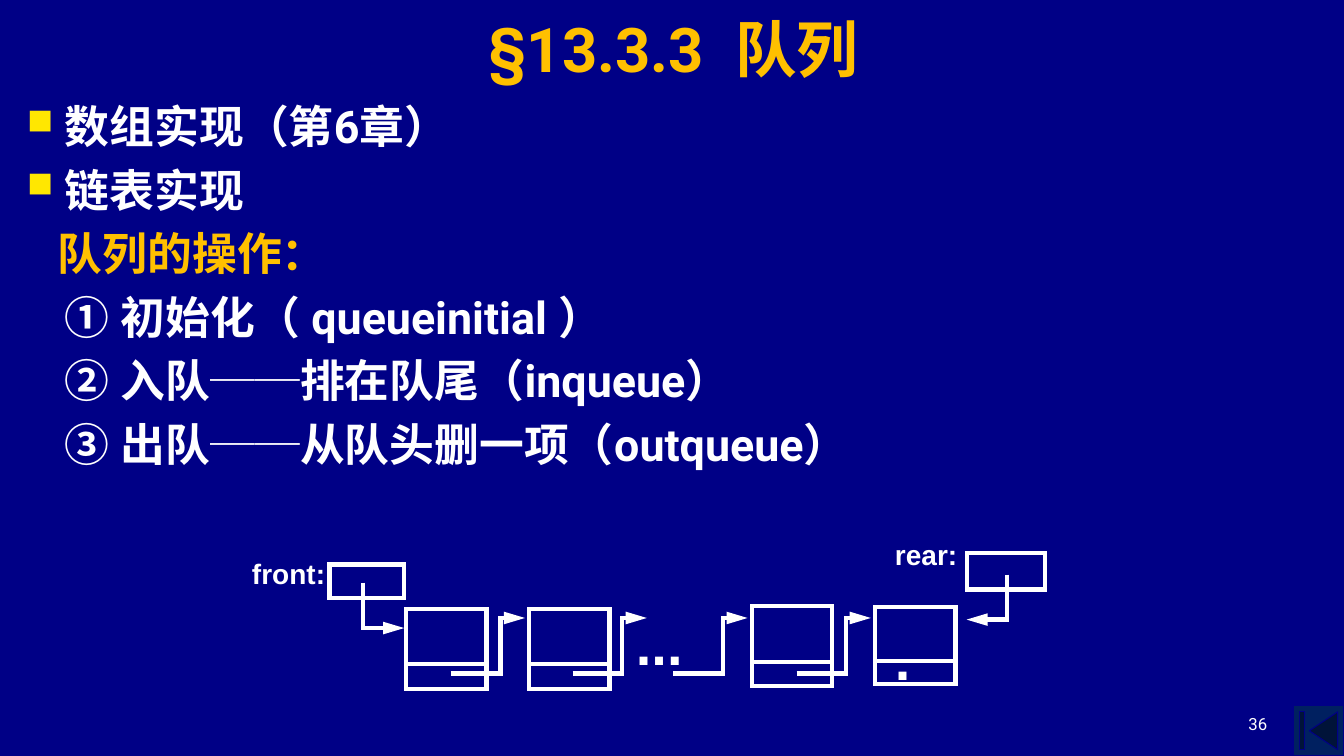
from dataclasses import dataclass
from typing import Optional

import pptx
import pptx.dml.color
import pptx.enum.shapes
import pptx.enum.text
import pptx.oxml.ns
import pptx.util
from lxml import etree

Pt = pptx.util.Pt
RGBColor = pptx.dml.color.RGBColor
Shapes = pptx.enum.shapes.MSO_SHAPE
Anchor = pptx.enum.text.MSO_ANCHOR
Align = pptx.enum.text.PP_ALIGN
qn = pptx.oxml.ns.qn

NAVY = RGBColor(0x00, 0x00, 0x86)
BUTTON_BLUE = RGBColor(0x00, 0x20, 0x60)
WHITE = RGBColor(0xFF, 0xFF, 0xFF)
GOLD = RGBColor(0xFF, 0xC0, 0x00)
YELLOW = RGBColor(0xFF, 0xE7, 0x01)

LINE_WIDTH = 3
NODE_WIDTH = 57.5
LINK_BOTTOM, LINK_TOP = 481, 441.4


@dataclass
class Item:
    text: str
    color: RGBColor = WHITE
    margin: float = 27
    bullet: bool = False


@dataclass
class Box:
    left: float
    top: float
    width: float
    height: float
    divider: Optional[float] = None


@dataclass
class Label:
    text: str
    box: Box
    size: float = 20
    inset: tuple[float, float] = (0.7, 0.7)


ITEMS = [
    Item("数组实现（第6章）", bullet=True),
    Item("链表实现", bullet=True),
    Item("队列的操作：", color=GOLD, margin=22),
    Item("① 初始化（ queueinitial ）"),
    Item("② 入队──排在队尾（inqueue）"),
    Item("③ 出队──从队头删一项（outqueue）"),
]

POINTER_BOXES = [Box(235.4, 403.2, 53.3, 23.8), Box(690.5, 395.3, 56.2, 25.9)]
NODES = [
    Box(290, 435, NODE_WIDTH, 57, 474.5),
    Box(378, 435, NODE_WIDTH, 57, 474.5),
    Box(537, 432.7, NODE_WIDTH, 57.6, 473),
    Box(625, 433.4, NODE_WIDTH, 55.4, 472.3),
]
LINK_STARTS = [322, 409, 481, 569]
POINTER_ARROWS = [
    [(259.2, 416.2), (259.2, 448.6), (288.7, 448.6)],
    [(719.3, 410.4), (719.3, 442.6), (690.5, 442.6)],
]
LABELS = [
    Label("front:", Box(179.3, 396.7, 57.6, 26.6)),
    Label("rear:", Box(638.6, 383, 57.6, 31)),
    Label("...", Box(453.6, 434.9, 72, 45.4), size=40),
    Label(".", Box(632.2, 442.8, 50.4, 71.3), size=40, inset=(7.2, 3.6)),
]


def add_text(slide, items: list[Item], box: Box, *, size: float, font: str = "Roboto",
             bold: bool = True, align=Align.LEFT, anchor=Anchor.TOP,
             inset: tuple[float, float] = (7.2, 3.6), space_before: float = 0) -> None:
    shape = slide.shapes.add_textbox(Pt(box.left), Pt(box.top), Pt(box.width), Pt(box.height))
    frame = shape.text_frame
    frame.word_wrap = True
    frame.vertical_anchor = anchor
    frame.margin_left = frame.margin_right = Pt(inset[0])
    frame.margin_top = frame.margin_bottom = Pt(inset[1])
    for index, item in enumerate(items):
        paragraph = frame.paragraphs[0] if index == 0 else frame.add_paragraph()
        paragraph.alignment = align
        if index:
            paragraph.space_before = Pt(space_before)
        indent_paragraph(paragraph, item)
        run = paragraph.add_run()
        run.text = item.text
        run.font.name = font
        run.font.size = Pt(size)
        run.font.bold = bold
        run.font.color.rgb = item.color
        # East Asian characters follow the same font
        run.font._element.find(qn("a:latin")).addnext(
            etree.Element(qn("a:ea"), typeface=font))


def indent_paragraph(paragraph, item: Item) -> None:
    properties = paragraph._p.get_or_add_pPr()
    properties.set("marL", str(Pt(item.margin)))
    properties.set("indent", str(-Pt(item.margin) if item.bullet else 0))
    if item.bullet:
        color = etree.SubElement(properties, qn("a:buClr"))
        etree.SubElement(color, qn("a:srgbClr"), val=str(YELLOW))
        etree.SubElement(properties, qn("a:buSzPct"), val="80000")
        etree.SubElement(properties, qn("a:buChar"), char="■")


def style_line(shape, arrow: bool = False) -> None:
    shape.line.color.rgb = WHITE
    shape.line.width = Pt(LINE_WIDTH)
    line = shape.line._get_or_add_ln()
    etree.SubElement(line, qn("a:miter"), lim="800000")
    if arrow:
        etree.SubElement(line, qn("a:tailEnd"), type="triangle", w="med", len="lg")


def add_box(slide, box: Box) -> None:
    shape = slide.shapes.add_shape(
        Shapes.RECTANGLE, Pt(box.left), Pt(box.top), Pt(box.width), Pt(box.height))
    shape.shadow.inherit = False
    shape.fill.background()
    style_line(shape)
    if box.divider is not None:
        divider = slide.shapes.add_connector(
            pptx.enum.shapes.MSO_CONNECTOR.STRAIGHT, Pt(box.left), Pt(box.divider),
            Pt(box.left + box.width), Pt(box.divider))
        style_line(divider)
        etree.SubElement(divider._element.spPr, qn("a:effectLst"))


def add_bent_arrow(slide, points: list[tuple[float, float]]) -> None:
    corners = [(Pt(x), Pt(y)) for x, y in points]
    builder = slide.shapes.build_freeform(*corners[0])
    builder.add_line_segments(corners[1:], close=False)
    shape = builder.convert_to_shape()
    shape.shadow.inherit = False
    shape.fill.background()
    style_line(shape, arrow=True)


def main() -> None:
    presentation = pptx.Presentation()
    presentation.slide_width, presentation.slide_height = Pt(960), Pt(540)
    slide = presentation.slides.add_slide(presentation.slide_layouts[6])
    slide.background.fill.solid()
    slide.background.fill.fore_color.rgb = NAVY

    # Navigation button
    button = slide.shapes.add_shape(
        Shapes.ACTION_BUTTON_BEGINNING, Pt(924), Pt(504), Pt(36), Pt(36))
    button.shadow.inherit = False
    button.fill.solid()
    button.fill.fore_color.rgb = BUTTON_BLUE
    button.line.color.rgb = NAVY
    button.line.width = Pt(0.75)

    # Title, body and slide number
    add_text(slide, [Item("§13.3.3  队列", GOLD, 0)], Box(157, 2.2, 648, 63.4),
             size=44, align=Align.CENTER, anchor=Anchor.MIDDLE)
    add_text(slide, ITEMS, Box(12.2, 67, 697.7, 289.4), size=32, space_before=7)
    add_text(slide, [Item("36", margin=0)], Box(688.3, 491.8, 224, 36), size=12,
             bold=False, align=Align.RIGHT, anchor=Anchor.BOTTOM)

    # Linked queue
    for box in POINTER_BOXES + NODES:
        add_box(slide, box)
    for start in LINK_STARTS:
        bend = start + 35.5
        add_bent_arrow(slide, [(start, LINK_BOTTOM), (bend, LINK_BOTTOM),
                               (bend, LINK_TOP), (start + 53, LINK_TOP)])
    for points in POINTER_ARROWS:
        add_bent_arrow(slide, points)
    for label in LABELS:
        add_text(slide, [Item(label.text, margin=0)], label.box, size=label.size,
                 font="Arial", inset=label.inset)

    presentation.save("out.pptx")


if __name__ == "__main__":
    main()
